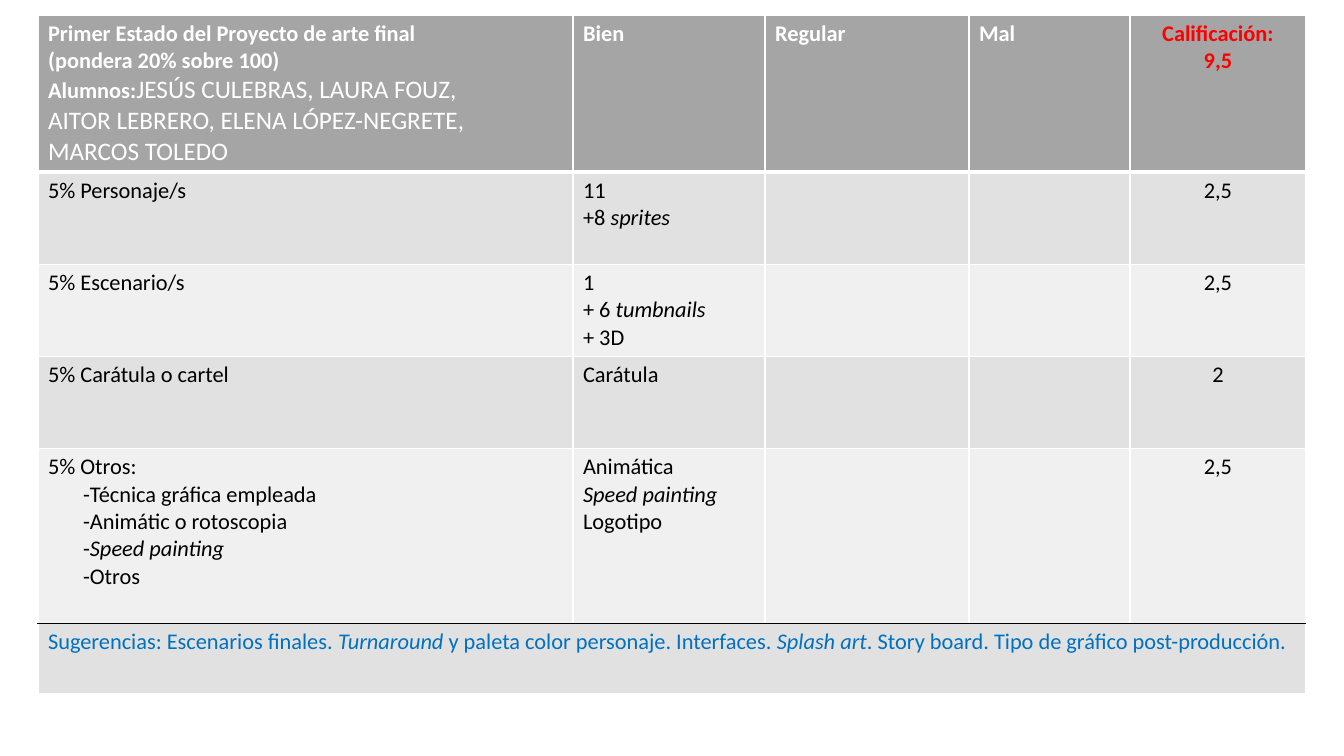
from dataclasses import dataclass

from lxml import etree
from pptx import Presentation
from pptx.dml.color import RGBColor
from pptx.enum.text import PP_ALIGN
from pptx.oxml.ns import qn
from pptx.table import _Cell
from pptx.util import Emu, Pt

PIXEL = 914400 / 100.8
CENTER = PP_ALIGN.CENTER
FONT = "Calibri"
WHITE = RGBColor(0xFF, 0xFF, 0xFF)
BLACK = RGBColor(0x00, 0x00, 0x00)
RED = RGBColor(0xFF, 0x00, 0x00)
BLUE = RGBColor(0x00, 0x70, 0xC0)
HEADER_GRAY = RGBColor(0xA5, 0xA5, 0xA5)
DARK_BAND = RGBColor(0xE1, 0xE1, 0xE1)
LIGHT_BAND = RGBColor(0xF0, 0xF0, 0xF0)

TABLE_LEFT, TABLE_TOP = 38, 15
COLUMN_WIDTHS = [535, 192, 204, 161, 176]
LIST_INDENT = 35
GRADE_COLUMN = len(COLUMN_WIDTHS) - 1


@dataclass(frozen=True)
class Border:
    color: RGBColor = WHITE
    width: int = 1


@dataclass(frozen=True)
class RubricRow:
    height: int
    fill: RGBColor
    texts: list[str]
    color: RGBColor = BLACK
    header: bool = False
    top: Border = Border()
    bottom: Border = Border()


THICK = Border(WHITE, 3)
RULE = Border(BLACK, 1)

# Asterisks enclose names in the header and italics in the body; \v breaks a line
ROWS = [
    RubricRow(157, HEADER_GRAY, [
        "Primer Estado del Proyecto de arte final\n(pondera 20% sobre 100)\n"
        "Alumnos:*JESÚS CULEBRAS, LAURA FOUZ,\vAITOR LEBRERO, "
        "ELENA LÓPEZ-NEGRETE,\vMARCOS TOLEDO*",
        "Bien", "Regular", "Mal", "Calificación:\n9,5",
    ], WHITE, header=True, bottom=THICK),
    RubricRow(92, DARK_BAND,
              ["5% Personaje/s", "11\n+8 *sprites*", "", "", "2,5"], top=THICK),
    RubricRow(92, LIGHT_BAND,
              ["5% Escenario/s", "1\n+ 6 *tumbnails*\n+ 3D", "", "", "2,5"]),
    RubricRow(92, DARK_BAND,
              ["5% Carátula o cartel", "Carátula", "", "", "2"]),
    RubricRow(175, LIGHT_BAND, [
        "5% Otros:\n-Técnica gráfica empleada\n-Animátic o rotoscopia\n"
        "-*Speed painting*\n-Otros",
        "Animática\n*Speed painting*\nLogotipo", "", "", "2,5",
    ], bottom=RULE),
    RubricRow(70, DARK_BAND, [
        "Sugerencias: Escenarios finales. *Turnaround* y paleta color personaje. "
        "Interfaces. *Splash art*. Story board. Tipo de gráfico post-producción.",
    ], BLUE, top=RULE),
]


def px(pixels: int) -> Emu:
    return Emu(round(pixels * PIXEL))


def set_borders(cell: _Cell, row: RubricRow) -> None:
    properties = cell._tc.get_or_add_tcPr()
    sides = {"L": Border(), "R": Border(), "T": row.top, "B": row.bottom}
    for position, (side, border) in enumerate(sides.items()):
        line = etree.Element(qn(f"a:ln{side}"), w=str(Pt(border.width)))
        fill = etree.SubElement(line, qn("a:solidFill"))
        etree.SubElement(fill, qn("a:srgbClr"), val=str(border.color))
        properties.insert(position, line)


def write_text(cell: _Cell, text: str, row: RubricRow, is_grade: bool) -> None:
    frame = cell.text_frame
    for number, content in enumerate(text.split("\n")):
        para = frame.add_paragraph() if number else frame.paragraphs[0]
        if is_grade:
            para.alignment = CENTER
        if content.startswith("-"):
            para._p.get_or_add_pPr().set("marL", str(px(LIST_INDENT)))
        for index, marked_text in enumerate(content.split("*")):
            marked = index % 2 == 1
            for line_number, line in enumerate(marked_text.split("\v")):
                if line_number:
                    para.add_line_break()
                if not line:
                    continue
                span = para.add_run()
                span.text = line
                font = span.font
                font.name = FONT
                font.size = Pt(18 if row.header and marked else 16)
                font.bold = row.header and not marked
                font.italic = marked and not row.header
                font.color.rgb = RED if row.header and is_grade else row.color


deck = Presentation()
deck.slide_width, deck.slide_height = px(1344), px(756)
page = deck.slides.add_slide(deck.slide_layouts[6])

# Grading table
rubric = page.shapes.add_table(
    len(ROWS), len(COLUMN_WIDTHS), px(TABLE_LEFT), px(TABLE_TOP),
    px(sum(COLUMN_WIDTHS)), px(sum(row.height for row in ROWS)),
).table
for column, width in zip(rubric.columns, COLUMN_WIDTHS):
    column.width = px(width)

for row_index, row in enumerate(ROWS):
    rubric.rows[row_index].height = px(row.height)
    for column_index in range(len(COLUMN_WIDTHS)):
        cell = rubric.cell(row_index, column_index)
        cell.fill.solid()
        cell.fill.fore_color.rgb = row.fill
        set_borders(cell, row)
    for column_index, text in enumerate(row.texts):
        write_text(rubric.cell(row_index, column_index), text, row,
                   column_index == GRADE_COLUMN)

# Suggestions span the whole last row
last_row = len(ROWS) - 1
rubric.cell(last_row, 0).merge(rubric.cell(last_row, GRADE_COLUMN))

deck.save("out.pptx")
